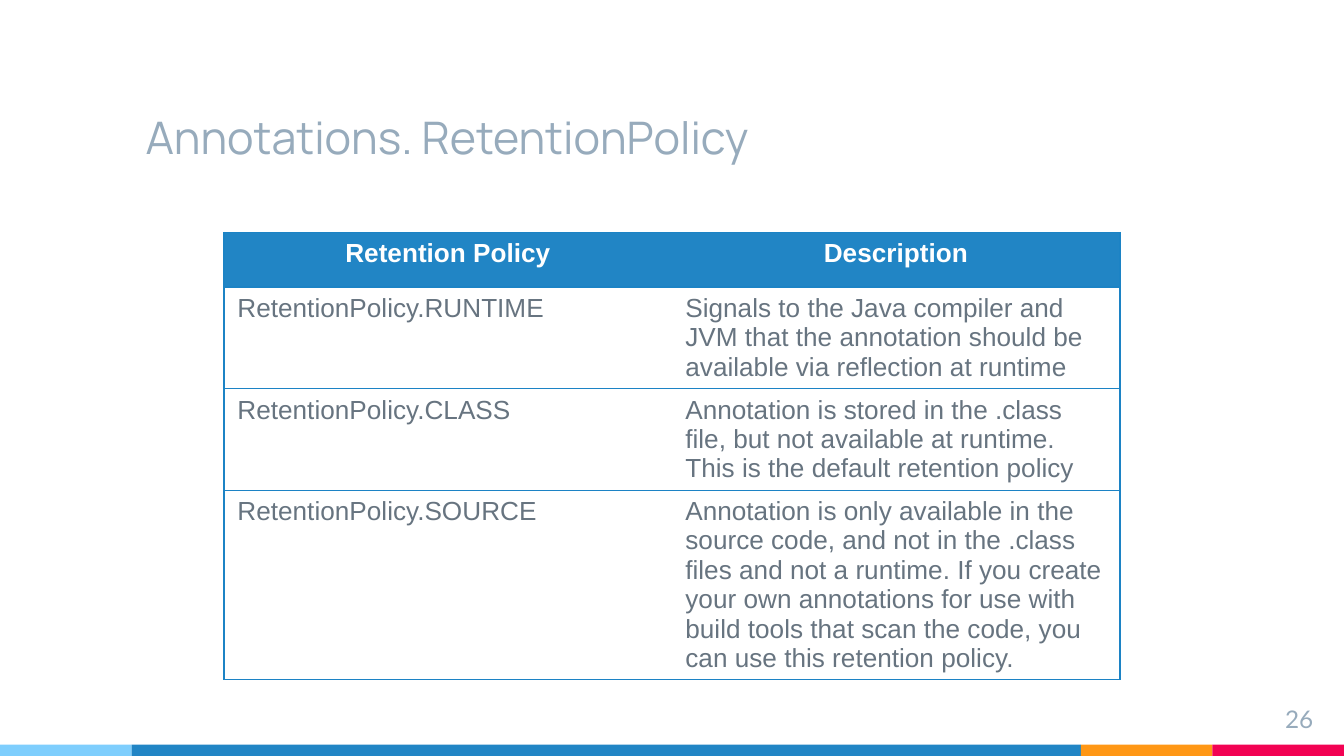
from dataclasses import dataclass

from lxml import etree
from pptx import Presentation
from pptx.dml.color import RGBColor
from pptx.enum.shapes import MSO_SHAPE
from pptx.enum.text import MSO_ANCHOR, MSO_AUTO_SIZE, PP_ALIGN
from pptx.oxml.ns import qn
from pptx.util import Pt

RECT = MSO_SHAPE.RECTANGLE
TOP, BOTTOM = MSO_ANCHOR.TOP, MSO_ANCHOR.BOTTOM
LEFT, CENTER, RIGHT = PP_ALIGN.LEFT, PP_ALIGN.CENTER, PP_ALIGN.RIGHT
NO_FIT = MSO_AUTO_SIZE.NONE

SCALE = 9525  # EMU in one px, 96 px to the inch
WIDTH, HEIGHT = 960, 540
BAR = 8
PAD = 10
ROW = 39
PLAIN = "{2D5ABB26-0587-4C30-8999-92F81FD0307C}"


@dataclass(frozen=True)
class Theme:
    sky: str = "7ECEFD"
    blue: str = "2185C5"
    orange: str = "FF9715"
    red: str = "F20253"
    muted: str = "97ABBC"
    text: str = "677480"
    white: str = "FFFFFF"
    border: str = "1C83C5"
    line: float = 0.75
    title: int = 24
    cell: int = 14
    number: int = 13
    head_font: str = "Manrope"
    cell_font: str = "Arial"
    number_font: str = "Lato"


THEME = Theme()

BANDS = [(0, THEME.sky), (94, THEME.blue), (772, THEME.orange), (866, THEME.red)]

ROWS = [
    ("Retention Policy", "Description"),
    ("RetentionPolicy.RUNTIME",
     "Signals to the Java compiler and JVM that the annotation should be "
     "available via reflection at runtime"),
    ("RetentionPolicy.CLASS",
     "Annotation is stored in the .class file, but not available at runtime. "
     "This is the default retention policy"),
    ("RetentionPolicy.SOURCE",
     "Annotation is only available in the source code, and not in the .class "
     "files and not a runtime. If you create your own annotations for use with "
     "build tools that scan the code, you can use this retention policy."),
]


def px(*sizes):
    return [size * SCALE for size in sizes]


def write(frame, text, font, size, color, align, bold=False):
    frame.text = text
    para = frame.paragraphs[0]
    para.alignment = align
    para.font.name = font
    para.font.size = Pt(size)
    para.font.bold = bold
    para.font.color.rgb = RGBColor.from_string(color)


def set_frame(frame, anchor):
    frame.word_wrap = True
    frame.auto_size = NO_FIT
    frame.vertical_anchor = anchor
    frame.margin_left = frame.margin_right = PAD * SCALE
    frame.margin_top = frame.margin_bottom = PAD * SCALE


def add_bands(slide):
    ends = [left for left, _ in BANDS[1:]] + [WIDTH]
    for (left, color), end in zip(BANDS, ends):
        band = slide.shapes.add_shape(
            RECT, *px(left, HEIGHT - BAR, end - left, BAR))
        band.shadow.inherit = False
        band.fill.solid()
        band.fill.fore_color.rgb = RGBColor.from_string(color)
        band.line.fill.background()


def add_title(slide, text):
    title = slide.shapes.title
    title.left, title.top, title.width, title.height = px(94, 37, 679, 90)
    set_frame(title.text_frame, BOTTOM)
    write(title.text_frame, text, THEME.head_font, THEME.title, THEME.muted, LEFT)


def add_number(slide, text):
    box = slide.shapes.add_textbox(*px(890, 493, 58, 33))
    set_frame(box.text_frame, TOP)
    write(box.text_frame, text, THEME.number_font, THEME.number, THEME.muted, RIGHT)


def add_border(cell, side):
    """Draw one side of a cell: L, R, T or B, called in that order."""
    props = cell._tc.get_or_add_tcPr()
    line = etree.SubElement(props, qn("a:ln" + side), w=str(Pt(THEME.line)))
    fill = etree.SubElement(line, qn("a:solidFill"))
    etree.SubElement(fill, qn("a:srgbClr"), val=THEME.border)


def fill_cell(cell, text, head, sides):
    for side in sides:
        add_border(cell, side)
    if head:
        cell.fill.solid()
        cell.fill.fore_color.rgb = RGBColor.from_string(THEME.blue)
    else:
        cell.fill.background()
    write(cell.text_frame, text, THEME.cell_font, THEME.cell,
          THEME.white if head else THEME.text, CENTER if head else LEFT, head)


def add_grid(slide, rows):
    frame = slide.shapes.add_table(
        len(rows), 2, *px(160, 166, 640, ROW * len(rows)))
    table = frame.table
    table.horz_banding = False
    table._tbl.tblPr.find(qn("a:tableStyleId")).text = PLAIN
    for r, texts in enumerate(rows):
        for c, text in enumerate(texts):
            fill_cell(table.cell(r, c), text, r == 0, "LR"[c] + "TB")


def main():
    deck = Presentation()
    deck.slide_width, deck.slide_height = px(WIDTH, HEIGHT)
    slide = deck.slides.add_slide(deck.slide_layouts[5])
    add_bands(slide)
    add_title(slide, "Annotations. RetentionPolicy")
    add_number(slide, "26")
    add_grid(slide, ROWS)
    deck.save("out.pptx")


if __name__ == "__main__":
    main()
